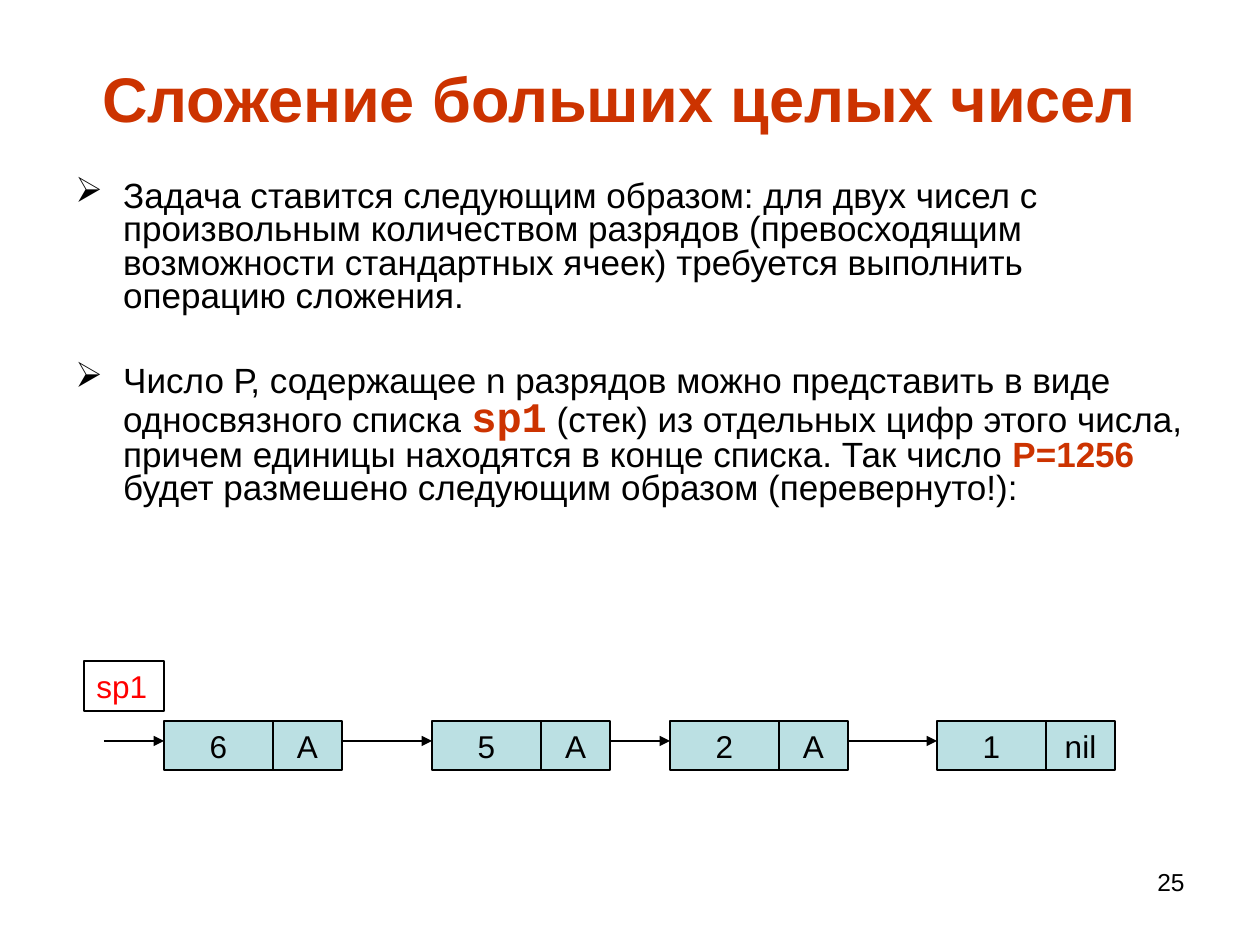
"""Slide on adding big integers, with a linked list of digits."""
from pptx import Presentation
from pptx import util as u
from pptx.dml.color import RGBColor
from pptx.enum import shapes, text
from pptx.oxml.ns import qn

BLACK = RGBColor(0x00, 0x00, 0x00)
RUST = RGBColor(0xCC, 0x33, 0x00)
RED = RGBColor(0xFF, 0x00, 0x00)
TEAL = RGBColor(0xBB, 0xE0, 0xE3)

SCALE = 914400 // 126
NODES = [(164, "6", "A"), (432, "5", "A"), (670, "2", "A"), (937, "1", "nil")]
NODE_TOP, NODE_H, DIGIT_W, LINK_W = 721, 49, 109, 69
ARROW_Y, ARROW_START = 741, 104

PLAIN = dict(size=20)
ACCENT = dict(size=20, color=RUST, bold=True)
BULLETS = [
    (5, [("Задача ставится следующим образом: для двух чисел с произвольным "
          "количеством разрядов (превосходящим возможности стандартных ячеек) "
          "требуется выполнить операцию сложения.", PLAIN)]),
    (29, [("Число Р, содержащее n разрядов можно представить в виде "
           "односвязного списка ", PLAIN),
          ("sp1", dict(size=24, name="Courier New", color=RUST, bold=True)),
          (" (стек) из отдельных цифр этого числа, причем единицы находятся "
           "в конце списка. Так число ", PLAIN),
          ("Р=1256", ACCENT),
          (" будет размешено следующим образом (перевернуто!):", PLAIN)]),
]


def px(*values):
    return [u.Emu(v * SCALE) for v in values]


def set_attrs(obj, **values):
    for key, value in values.items():
        setattr(obj, key, value)


def add_run(p, content, size, color=BLACK, name="Arial", bold=False):
    r = p.add_run()
    r.text = content
    set_attrs(r.font, size=u.Pt(size), name=name, bold=bold)
    r.font.color.rgb = color


def add_title(s):
    sp = s.shapes.title
    left, top, width, height = px(63, 38, 1134, 107)
    set_attrs(sp, left=left, top=top, width=width, height=height)
    tf = sp.text_frame
    set_attrs(tf, vertical_anchor=text.MSO_ANCHOR.MIDDLE, word_wrap=True)
    p = tf.paragraphs[0]
    p.alignment = text.PP_ALIGN.CENTER
    add_run(p, "Сложение больших целых чисел", 36, RUST, bold=True)
    add_run(p, " ", 44)


def add_text(s, box):
    tf = s.shapes.add_textbox(*px(*box)).text_frame
    tf.word_wrap = True
    return tf


def add_bullets(s):
    tf = add_text(s, (63, 175, 1134, 387))
    for i, (before, runs) in enumerate(BULLETS):
        p = tf.add_paragraph() if i else tf.paragraphs[0]
        set_attrs(p, line_spacing=0.8, space_before=u.Pt(before))
        pPr = p._p.get_or_add_pPr()
        pPr.set("marL", str(u.Inches(0.38)))
        pPr.set("indent", str(-u.Inches(0.38)))
        bullet = pPr.makeelement(qn("a:buChar"), {"char": "➢"})
        pPr.append(bullet)
        for content, style in runs:
            add_run(p, content, **style)


def add_box(s, box, label, fill=None, color=BLACK, align=text.PP_ALIGN.CENTER):
    sp = s.shapes.add_shape(shapes.MSO_SHAPE.RECTANGLE, *px(*box))
    sp.shadow.inherit = False
    if fill is None:
        sp.fill.background()
    else:
        sp.fill.solid()
        sp.fill.fore_color.rgb = fill
    sp.line.color.rgb = BLACK
    sp.line.width = u.Pt(0.75)
    tf = sp.text_frame
    set_attrs(tf, word_wrap=False, vertical_anchor=text.MSO_ANCHOR.MIDDLE)
    p = tf.paragraphs[0]
    p.alignment = align
    add_run(p, label, 18, color)


def add_arrow(s, start, end):
    c = s.shapes.add_connector(shapes.MSO_CONNECTOR.STRAIGHT,
                               *px(start, ARROW_Y, end, ARROW_Y))
    c.line.color.rgb = BLACK
    c.line.width = u.Pt(1.5)
    ln = c.line._get_or_add_ln()
    ln.append(ln.makeelement(qn("a:tailEnd"), {"type": "triangle"}))
    spPr = c._element.spPr
    spPr.append(spPr.makeelement(qn("a:effectLst"), {}))


def add_list(s):
    start = ARROW_START
    for left, digit, link in NODES:
        middle = left + DIGIT_W
        add_box(s, (left, NODE_TOP, DIGIT_W, NODE_H), digit, TEAL)
        add_box(s, (middle, NODE_TOP, LINK_W, NODE_H), link, TEAL)
        add_arrow(s, start, left)
        start = middle + LINK_W
    add_box(s, (84, 661, 80, 50), "sp1", color=RED, align=text.PP_ALIGN.LEFT)


def add_number(s):
    p = add_text(s, (903, 861, 294, 66)).paragraphs[0]
    p.alignment = text.PP_ALIGN.RIGHT
    add_run(p, "25", 14)


def main():
    prs = Presentation()
    set_attrs(prs, slide_width=u.Inches(10), slide_height=u.Inches(7.5))
    s = prs.slides.add_slide(prs.slide_layouts[5])
    add_title(s)
    add_bullets(s)
    add_list(s)
    add_number(s)
    prs.save("out.pptx")


if __name__ == "__main__":
    main()
